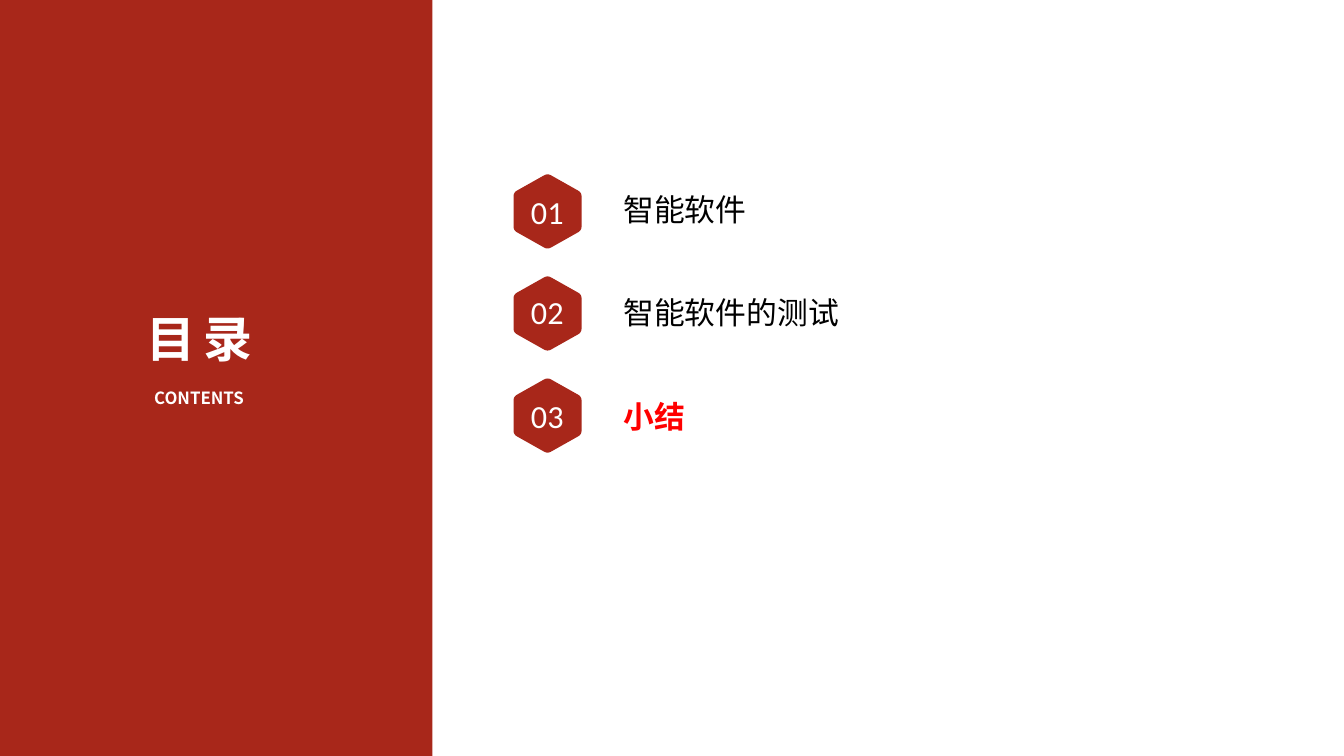
import pptx
import pptx.util
import pptx.dml.color
import pptx.enum.shapes
import pptx.enum.text
import pptx.oxml.ns
from lxml import etree

Inches = pptx.util.Inches
Align = pptx.enum.text.PP_ALIGN
Anchor = pptx.enum.text.MSO_ANCHOR

COLOURS = {"brick": "A8271A", "white": "FFFFFF", "black": "000000", "highlight": "FF0000"}
CHINESE_FONT = "Noto Sans CJK SC"
NUMBER_FONT = "Calibri"

ENTRIES = [
    ("01", "智能软件", 3.67, 4.18, 0.93, "black"),
    ("02", "智能软件的测试", 5.65, 6.21, 0.78, "black"),
    ("03", "小结", 7.72, 7.95, 0.76, "highlight"),
]
HEXAGON_CENTRE_X, FIRST_CENTRE_Y, HEXAGON_PITCH = 10.865, 4.195, 2.025
LABEL_LEFT, FIRST_LABEL_TOP, LABEL_PITCH = 12.32, 3.73, 2.055


class ContentsSlide:
    def __init__(self, presentation):
        self.slide = presentation.slides.add_slide(presentation.slide_layouts[6])

    def paint(self, shape, colour):
        shape.shadow.inherit = False
        shape.fill.solid()
        shape.fill.fore_color.rgb = pptx.dml.color.RGBColor.from_string(COLOURS[colour])
        shape.line.fill.background()

    def panel(self, left, top, width, height, colour):
        shape = self.slide.shapes.add_shape(
            pptx.enum.shapes.MSO_SHAPE.RECTANGLE,
            Inches(left), Inches(top), Inches(width), Inches(height))
        self.paint(shape, colour)

    def hexagon(self, centre_x, centre_y, colour, cut=0.08, steps=6):
        corners = [(-0.755, 0), (-0.375, -0.675), (0.375, -0.675),
                   (0.755, 0), (0.375, 0.675), (-0.375, 0.675)]
        side = 0.77
        outline = []
        for index, (x, y) in enumerate(corners):
            before, after = corners[index - 1], corners[(index + 1) % 6]
            start, end = [(x + (other_x - x) * cut / side, y + (other_y - y) * cut / side)
                          for other_x, other_y in (before, after)]
            for step in range(steps + 1):
                t = step / steps
                outline.append(tuple(
                    Inches(centre + (1 - t) ** 2 * a + 2 * t * (1 - t) * b + t ** 2 * c)
                    for centre, a, b, c in zip((centre_x, centre_y), start, (x, y), end)))
        builder = self.slide.shapes.build_freeform(*outline[0])
        builder.add_line_segments(outline[1:], close=True)
        shape = builder.convert_to_shape()
        shape.rotation = 90
        self.paint(shape, colour)

    def text(self, words, left, top, width, height, size, colour, font=CHINESE_FONT,
             bold=False, align=Align.LEFT, anchor=Anchor.TOP, spacing=0):
        box = self.slide.shapes.add_textbox(
            Inches(left), Inches(top), Inches(width), Inches(height))
        frame = box.text_frame
        frame.word_wrap = True
        frame.vertical_anchor = anchor
        frame.margin_left = frame.margin_right = Inches(0.05)
        frame.margin_top = frame.margin_bottom = Inches(0.05)
        paragraph = frame.paragraphs[0]
        paragraph.text = words
        paragraph.alignment = align
        paragraph.font.size = pptx.util.Pt(size)
        paragraph.font.bold = bold
        paragraph.font.name = font
        paragraph.font.color.rgb = pptx.dml.color.RGBColor.from_string(COLOURS[colour])
        qn = pptx.oxml.ns.qn
        properties = paragraph._p.pPr.find(qn("a:defRPr"))
        etree.SubElement(properties, qn("a:ea"), typeface=font)
        if spacing:
            properties.set("spc", str(round(spacing * 100)))


def main():
    presentation = pptx.Presentation()
    presentation.slide_width = Inches(26.67)
    presentation.slide_height = Inches(15)
    contents = ContentsSlide(presentation)

    contents.panel(0, 0, 8.58, 15, "brick")
    contents.text("CONTENTS", 1.87, 7.64, 4.16, 0.99, 24, "white",
                  bold=True, align=Align.CENTER)
    contents.text("目录", 1.12, 6.08, 5.68, 2.85, 70, "white",
                  bold=True, align=Align.CENTER, spacing=11.7)

    for row, (number, title, number_top, width, height, colour) in enumerate(ENTRIES):
        contents.text(title, LABEL_LEFT, FIRST_LABEL_TOP + row * LABEL_PITCH, width, height,
                      44, colour, bold=colour == "highlight")
        contents.hexagon(HEXAGON_CENTRE_X, FIRST_CENTRE_Y + row * HEXAGON_PITCH, "brick")
        contents.text(number, 9.99, number_top, 1.74, 1.05, 46, "white", font=NUMBER_FONT,
                      align=Align.CENTER, anchor=Anchor.MIDDLE)

    presentation.save("out.pptx")


if __name__ == "__main__":
    main()
